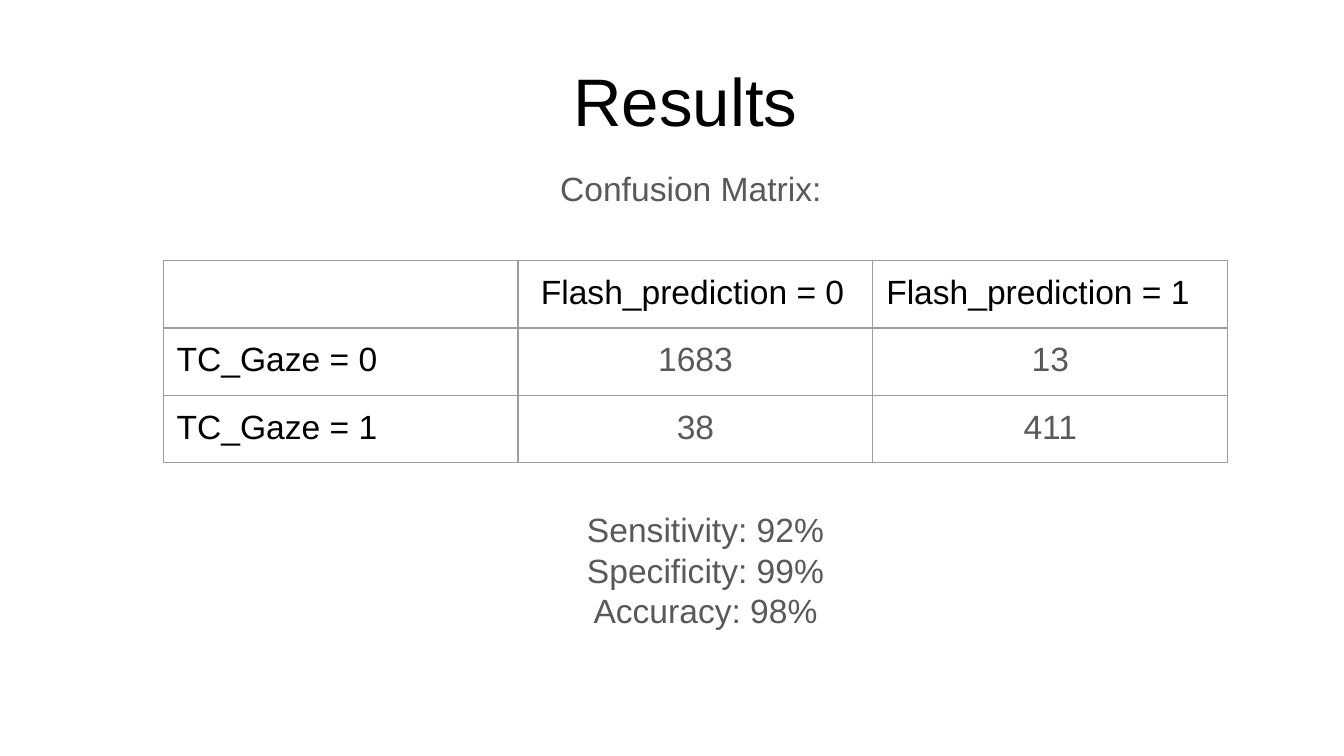
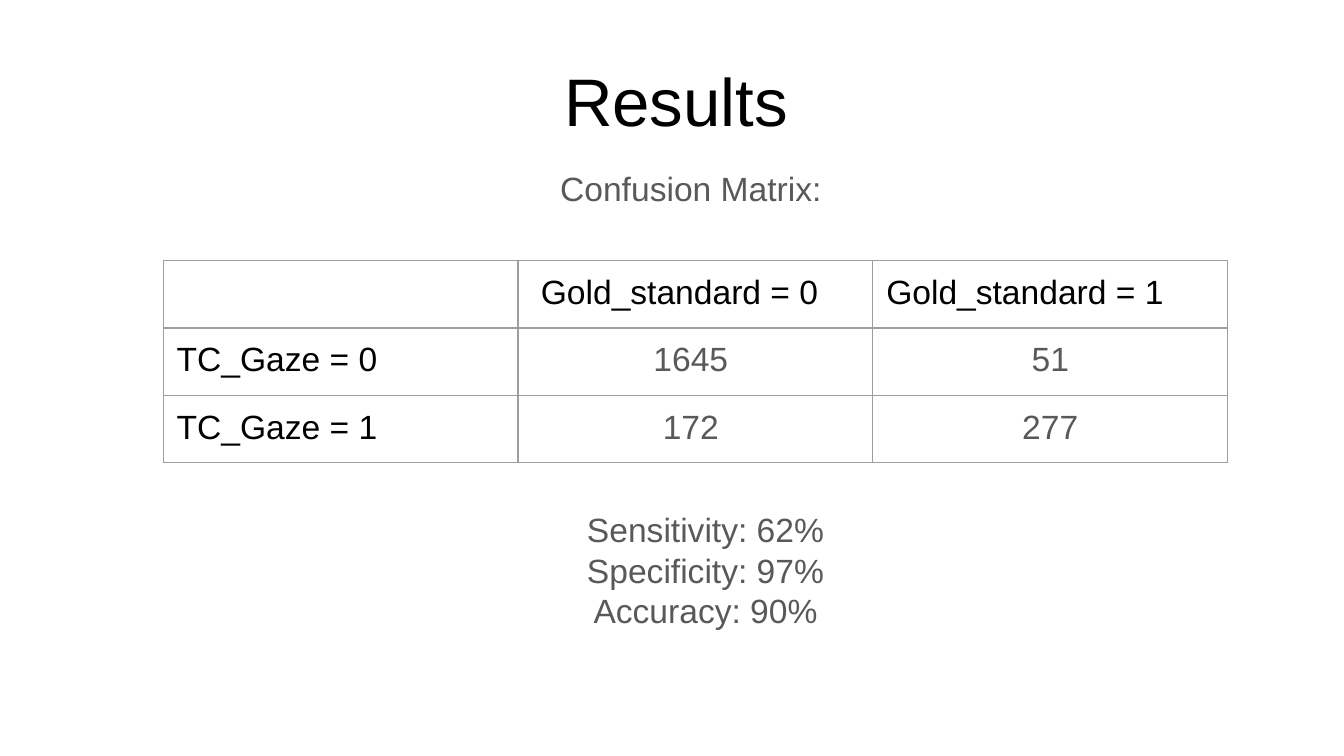
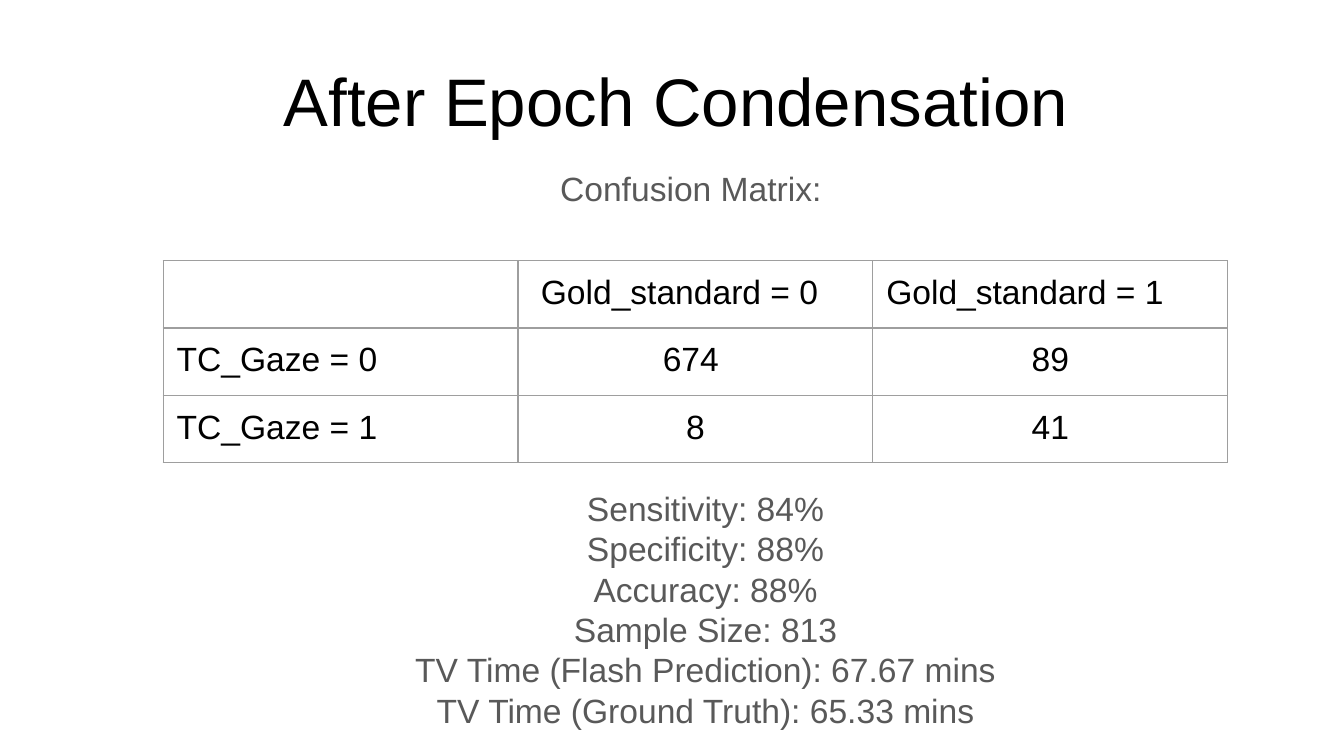
from lxml.etree import SubElement
from pptx import Presentation
from pptx.dml.color import RGBColor
from pptx.enum.text import MSO_ANCHOR, PP_ALIGN
from pptx.oxml.ns import qn
from pptx.util import Emu, Pt

FONT = "Arial"
COLORS = {"black": "000000", "gray": "595959", "border": "9E9E9E", "white": "FFFFFF"}
EMU_PER_PX = 4572  # 200 px to the inch
INSET = 20
BODY_SIZE, TITLE_SIZE = 18, 36

# Boxes: left, top, width, height
TITLE_BOX = (88, 30, 1864, 199)
SUBTITLE_BOX = (184, 230, 1702, 90)
MATRIX_BOX = (243, 388, 1584, 300)
ROW_HEIGHT = 84
METRICS_LEFT, METRICS_WIDTH, METRICS_HEIGHT = 244, 1612, 338

GOLD_HEADERS = [" Gold_standard = 0", "Gold_standard = 1"]
RESULTS = [
    {
        "title": "Results",
        "headers": [" Flash_prediction = 0", "Flash_prediction = 1"],
        "counts": [["1683", "13"], ["38", "411"]],
        "count_color": "gray",
        "metrics": ["Sensitivity: 92%", "Specificity: 99%", "Accuracy: 98%"],
        "metrics_top": 738,
    },
    {
        "title": "Results ",
        "headers": GOLD_HEADERS,
        "counts": [["1645 ", "51"], ["172 ", "277"]],
        "count_color": "gray",
        "metrics": ["Sensitivity: 62%", "Specificity: 97%", "Accuracy: 90%"],
        "metrics_top": 738,
    },
    {
        "title": "After Epoch Condensation ",
        "headers": GOLD_HEADERS,
        "counts": [["674 ", "89"], ["8", "41"]],
        "count_color": "black",
        "metrics": [
            "Sensitivity: 84%", "Specificity: 88%", "Accuracy: 88%", "Sample Size: 813",
            "TV Time (Flash Prediction): 67.67 mins",
            "TV Time (Ground Truth): 65.33 mins",
        ],
        "metrics_top": 706,
    },
]


def px(n):
    return Emu(n * EMU_PER_PX)


def rgb(name):
    return RGBColor.from_string(COLORS[name])


def set_insets(frame):
    for side in ("left", "top", "right", "bottom"):
        setattr(frame, f"margin_{side}", px(INSET))


def style_paragraph(p, size, color, align):
    p.alignment = align
    for font in [p.font] + [r.font for r in p.runs]:
        font.name, font.size = FONT, Pt(size)
        font.color.rgb = rgb(color)


def add_text(s, box, lines, size, color, anchor=MSO_ANCHOR.TOP):
    tf = s.shapes.add_textbox(*map(px, box)).text_frame
    tf.word_wrap = True
    tf.vertical_anchor = anchor
    set_insets(tf)
    tf.text = "\n".join(lines)
    for p in tf.paragraphs:
        style_paragraph(p, size, color, PP_ALIGN.CENTER)


def set_borders(cell):
    tc_pr = cell._tc.get_or_add_tcPr()
    for side in ("lnL", "lnR", "lnT", "lnB"):
        ln = SubElement(tc_pr, qn(f"a:{side}"), w=str(Pt(0.75)))
        fill = SubElement(ln, qn("a:solidFill"))
        SubElement(fill, qn("a:srgbClr"), val=COLORS["border"])


def add_matrix(s, box, headers, counts, count_color):
    rows = [["", *headers]]
    rows += [[f"TC_Gaze = {i}", *row] for i, row in enumerate(counts)]
    n_rows, n_cols = len(rows), len(rows[0])
    sp = s.shapes.add_table(n_rows, n_cols, *map(px, box))
    table = sp.table
    table.first_row = table.horz_banding = False
    for column in table.columns:
        column.width = px(box[2] // n_cols)
    for i, row in enumerate(rows):
        table.rows[i].height = px(ROW_HEIGHT)
        for j, text in enumerate(row):
            cell = table.cell(i, j)
            cell.text = text
            set_insets(cell)
            set_borders(cell)
            cell.fill.background()
            is_count = i > 0 and j > 0
            style_paragraph(
                cell.text_frame.paragraphs[0], BODY_SIZE,
                count_color if is_count else "black",
                PP_ALIGN.CENTER if is_count else PP_ALIGN.LEFT,
            )
    sp.height = px(box[3])


def add_results_slide(prs, result):
    s = prs.slides.add_slide(prs.slide_layouts[6])
    s.background.fill.solid()
    s.background.fill.fore_color.rgb = rgb("white")
    # Headings
    add_text(s, TITLE_BOX, [result["title"]], TITLE_SIZE, "black", MSO_ANCHOR.BOTTOM)
    add_text(s, SUBTITLE_BOX, ["Confusion Matrix: "], BODY_SIZE, "gray")
    # Confusion matrix
    add_matrix(s, MATRIX_BOX, result["headers"], result["counts"], result["count_color"])
    # Metrics
    metrics_box = (METRICS_LEFT, result["metrics_top"], METRICS_WIDTH, METRICS_HEIGHT)
    add_text(s, metrics_box, result["metrics"], BODY_SIZE, "gray")


def main():
    prs = Presentation()
    prs.slide_width, prs.slide_height = px(2000), px(1125)
    for result in RESULTS:
        add_results_slide(prs, result)
    prs.save("out.pptx")


if __name__ == "__main__":
    main()
